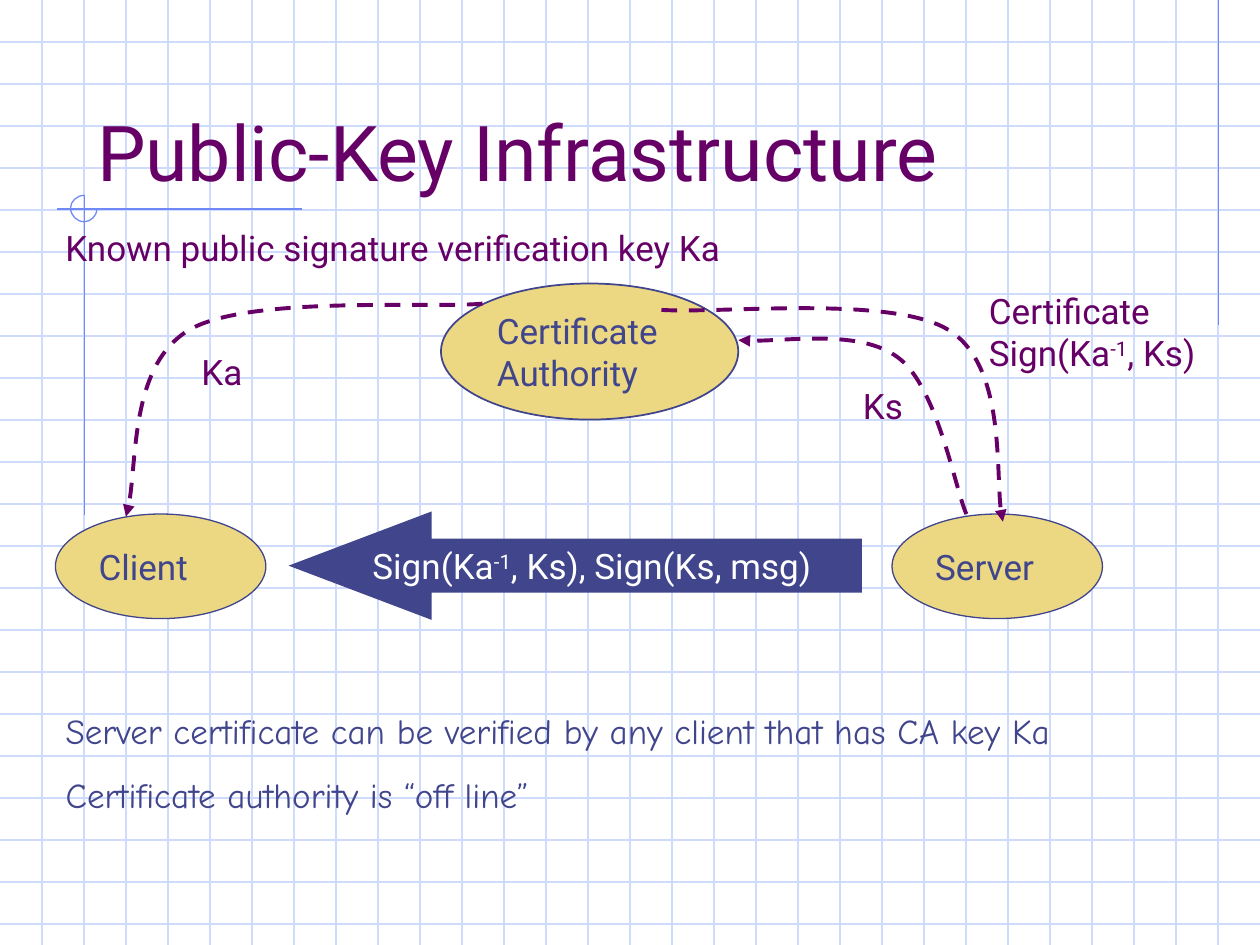
from dataclasses import dataclass

from lxml import etree
from pptx import Presentation
from pptx.dml.color import RGBColor
from pptx.enum.dml import MSO_LINE
from pptx.enum.shapes import MSO_CONNECTOR, MSO_SHAPE
from pptx.enum.text import MSO_ANCHOR, MSO_AUTO_SIZE, PP_ALIGN
from pptx.oxml.ns import qn
from pptx.util import Inches, Pt

STRAIGHT = MSO_CONNECTOR.STRAIGHT
ELLIPSE, LEFT_ARROW = MSO_SHAPE.OVAL, MSO_SHAPE.LEFT_ARROW
DASH = MSO_LINE.DASH
TOP, MIDDLE, BOTTOM = MSO_ANCHOR.TOP, MSO_ANCHOR.MIDDLE, MSO_ANCHOR.BOTTOM
LEFT = PP_ALIGN.LEFT
NO_AUTOFIT = MSO_AUTO_SIZE.NONE


@dataclass
class Theme:
    grid: RGBColor = RGBColor.from_string("CFDBFD")
    accent: RGBColor = RGBColor.from_string("6F89F7")
    purple: RGBColor = RGBColor.from_string("660066")
    indigo: RGBColor = RGBColor.from_string("40458C")
    sand: RGBColor = RGBColor.from_string("ECD882")
    white: RGBColor = RGBColor.from_string("FFFFFF")
    font: str = "Roboto"
    body_font: str = "Comic Neue"
    title_size: int = 44
    text_size: int = 20
    thin: float = 0.75
    thick: float = 2.25


def inches(values):
    return [Inches(value) for value in values]


def write(frame, *lines, color, font, size, anchor=TOP, wrap=True, gap=0):
    """Fill a frame with one paragraph per line; text between ^ marks is superscript."""
    frame.word_wrap = wrap
    frame.auto_size = NO_AUTOFIT
    frame.vertical_anchor = anchor
    for index, line in enumerate(lines):
        para = frame.add_paragraph() if index else frame.paragraphs[0]
        para.alignment = LEFT
        para.space_before = Pt(gap if index else 0)
        for position, piece in enumerate(line.split("^")):
            span = para.add_run()
            span.text = piece
            span.font.name = font
            span.font.size = Pt(size)
            span.font.color.rgb = color
            if position % 2:
                span.font._element.set("baseline", "30000")


class SlideBuilder:
    def __init__(self, page, theme):
        self.page = page
        self.theme = theme

    def line(self, start, end, color):
        line = self.page.shapes.add_connector(STRAIGHT, *inches(start + end))
        line.line.color.rgb = color
        line.line.width = Pt(self.theme.thin)
        etree.SubElement(line._element.spPr, qn("a:effectLst"))

    def grid(self, step):
        width, height = 10, 7.5
        for row in range(1, int(height / step) + 1):
            self.line((0, row * step), (width, row * step), self.theme.grid)
        for column in range(1, int(width / step)):
            self.line((column * step, 0), (column * step, height), self.theme.grid)

    def curve(self, *points, color, width):
        """Draw Bezier curves through a start point and triples of control points."""
        start, *controls = [inches(point) for point in points]
        builder = self.page.shapes.build_freeform(*start)
        builder.add_line_segments(controls, close=False)
        shape = builder.convert_to_shape()
        segments = list(shape._element.iter(qn("a:lnTo")))
        for first in range(0, len(segments), 3):
            triple = segments[first:first + 3]
            bezier = etree.Element(qn("a:cubicBezTo"))
            triple[0].addprevious(bezier)
            for segment in triple:
                bezier.append(segment[0])
                segment.getparent().remove(segment)
        shape.shadow.inherit = False
        shape.fill.background()
        shape.line.color.rgb = color
        shape.line.width = Pt(width)
        return shape

    def dashed_arrow(self, *points):
        shape = self.curve(*points, color=self.theme.purple, width=self.theme.thick)
        shape.line.dash_style = DASH
        outline = shape._element.spPr.find(qn("a:ln"))
        etree.SubElement(outline, qn("a:tailEnd"), type="triangle")

    def shape(self, kind, place, text, fill, color, outline=None, wrap=False):
        shape = self.page.shapes.add_shape(kind, *inches(place))
        shape.shadow.inherit = False
        shape.fill.solid()
        shape.fill.fore_color.rgb = fill
        if outline:
            shape.line.color.rgb = self.theme.indigo
            shape.line.width = Pt(outline)
        else:
            shape.line.fill.background()
        write(shape.text_frame, text, color=color, font=self.theme.font,
              size=self.theme.text_size, anchor=MIDDLE, wrap=wrap)
        return shape

    def node(self, place, text, outline=0.75, wrap=False):
        self.shape(ELLIPSE, place, text, self.theme.sand, self.theme.indigo, outline, wrap)

    def label(self, place, *lines):
        box = self.page.shapes.add_textbox(*inches(place))
        write(box.text_frame, *lines, color=self.theme.purple,
              font=self.theme.font, size=self.theme.text_size)

    def placeholder(self, box, place, *lines, **text_format):
        """Place and fill a template placeholder, in front of what is drawn so far."""
        box.left, box.top, box.width, box.height = inches(place)
        box.element.getparent().append(box.element)
        write(box.text_frame, *lines, **text_format)

    def title(self, place, text):
        box = self.page.shapes.title
        self.placeholder(box, place, text, color=self.theme.purple, font=self.theme.font,
                         size=self.theme.title_size, anchor=BOTTOM)
        box.text_frame.margin_bottom = Inches(0.02)

    def body(self, place, *lines):
        box = self.page.placeholders[1]
        self.placeholder(box, place, *lines, color=self.theme.indigo,
                         font=self.theme.body_font, size=self.theme.text_size, gap=12.5)
        for para in box.text_frame.paragraphs:
            properties = para._p.get_or_add_pPr()
            properties.set("marL", "0")
            properties.set("indent", "0")
            etree.SubElement(properties, qn("a:buNone"))


def main():
    deck = Presentation()
    deck.slide_width, deck.slide_height = Inches(10), Inches(7.5)
    theme = Theme()
    slide = SlideBuilder(deck.slides.add_slide(deck.slide_layouts[1]), theme)

    slide.grid(step=1 / 3)
    slide.line((9.67, 0), (9.67, 2.58), theme.accent)
    slide.line((2.4, 1.66), (0.45, 1.66), theme.accent)
    slide.line((0.67, 1.55), (0.67, 4.09), theme.accent)
    slide.curve((0.67, 1.55), (0.61, 1.55), (0.56, 1.6), (0.56, 1.65),
                (0.56, 1.71), (0.61, 1.76), (0.67, 1.76),
                (0.72, 1.76), (0.77, 1.71), (0.77, 1.66),
                color=theme.accent, width=theme.thin)
    slide.title((0.67, 0.33, 8.5, 1.25), "Public-Key Infrastructure")

    slide.node((3.5, 2.25, 2.36, 1.08), "Certificate Authority", outline=1, wrap=True)
    slide.dashed_arrow((3.83, 2.41), (3.45, 2.45), (1.97, 2.34), (1.5, 2.62),
                       (1.03, 2.9), (1.1, 3.79), (1, 4.1))
    slide.node((0.44, 4.08, 1.67, 0.83), "Client")
    slide.node((7.08, 4.08, 1.67, 0.83), "Server")
    slide.dashed_arrow((5.25, 2.46), (5.73, 2.49), (7.08, 2.34), (7.53, 2.62),
                       (7.98, 2.9), (7.89, 3.89), (7.96, 4.14))
    slide.label((0.42, 1.75, 5.44, 0.77), "Known public signature verification key Ka")
    message = slide.shape(LEFT_ARROW, (2.29, 4.06, 4.55, 0.86),
                          "Sign(Ka^-1^, Ks), Sign(Ks, msg)", theme.indigo, theme.white)
    message.adjustments[0], message.adjustments[1] = 0.5, 1.32
    slide.label((7.75, 2.25, 1.88, 0.77), "Certificate", "Sign(Ka^-1^, Ks)")
    slide.dashed_arrow((7.67, 4.08), (7.58, 3.88), (7.44, 3.07), (7.13, 2.84),
                       (6.83, 2.61), (6.12, 2.73), (5.86, 2.7))
    slide.label((6.75, 3, 0.61, 0.44), "Ks")
    slide.body((0.42, 5.58, 8.92, 0.94),
               "Server certificate can be verified by any client that has CA key Ka",
               "Certificate authority is “off line”")
    slide.label((1.5, 2.73, 0.61, 0.44), "Ka")

    deck.save("out.pptx")


if __name__ == "__main__":
    main()
